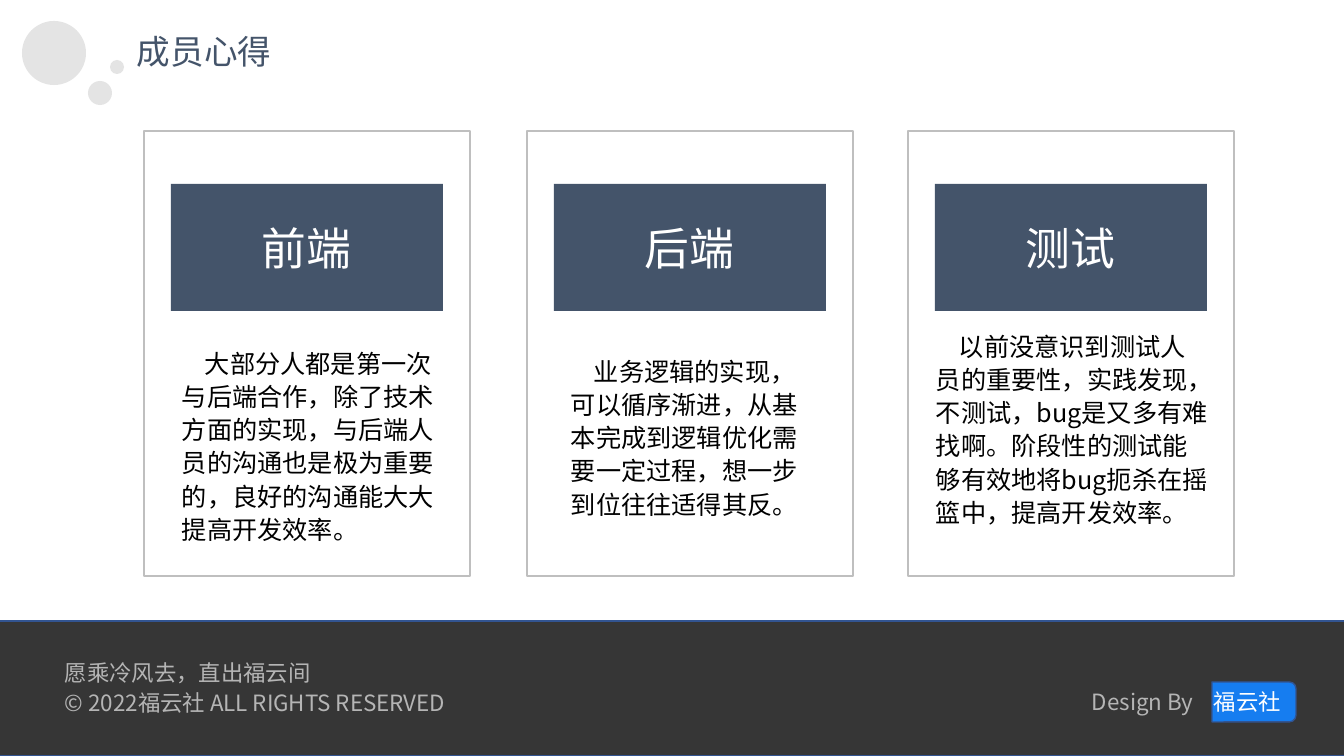
from lxml import etree
from pptx import Presentation
from pptx import util as u
from pptx.dml.color import RGBColor
from pptx.enum import shapes, text
from pptx.oxml.ns import qn

PX = 914400 / 100.8
FONT = "Noto Sans CJK SC"
NAVY = RGBColor(0x44, 0x54, 0x6A)
WHITE = RGBColor(0xFF, 0xFF, 0xFF)
BLACK = RGBColor(0, 0, 0)
BUBBLE = RGBColor(0xD9, 0xD9, 0xD9)
BORDER = RGBColor(0xBF, 0xBF, 0xBF)
DARK = RGBColor(0x36, 0x36, 0x36)
EDGE = RGBColor(0x32, 0x54, 0x91)
GREY = RGBColor(0xB5, 0xB5, 0xB5)
BADGE = RGBColor(0x16, 0x7D, 0xF0)
KIND = shapes.MSO_SHAPE

prs = Presentation()
prs.slide_width, prs.slide_height = round(1344 * PX), round(756 * PX)
s = prs.slides.add_slide(prs.slide_layouts[6])


def add_shape(kind, box, fill=None, line=None):
    sp = s.shapes.add_shape(kind, *(round(v * PX) for v in box))
    sp.shadow.inherit = False
    if fill is None:
        sp.fill.background()
    else:
        sp.fill.solid()
        sp.fill.fore_color.rgb = fill
    if line is None:
        sp.line.fill.background()
    else:
        sp.line.color.rgb = line
        sp.line.width = u.Pt(1)
    return sp


def add_text(box, lines, size, spacing=1.0):
    """Each line is a list of (text, colour) runs."""
    tf = s.shapes.add_textbox(*(round(v * PX) for v in box)).text_frame
    tf.word_wrap = True
    tf.auto_size = text.MSO_AUTO_SIZE.SHAPE_TO_FIT_TEXT
    for i, runs in enumerate(lines):
        p = tf.paragraphs[0] if i == 0 else tf.add_paragraph()
        p.line_spacing = spacing
        for words, color in runs:
            r = p.add_run()
            r.text = words
            r.font.size = u.Pt(size)
            r.font.name = FONT
            r.font.color.rgb = color
            ea = etree.SubElement(r.font._element, qn("a:ea"))
            ea.set("typeface", FONT)
    return tf


# Bubbles and slide title
for x, y, d in [(22, 21, 64), (88, 81, 24), (110, 60, 14)]:
    sp = add_shape(KIND.FLOWCHART_CONNECTOR, (x, y, d, d), BUBBLE)
    color = sp._element.spPr.find(qn("a:solidFill"))[0]
    etree.SubElement(color, qn("a:alpha")).set("val", "70000")
add_text((127, 26, 164, 50), [[("成员心得", NAVY)]], 24)

# Three cards: left edge, heading, body box, body text
cards = [
    (144, "前端", (172, 340, 284, 212),
     "大部分人都是第一次与后端合作，除了技术方面的实现，与后端人员的沟通也是"
     "极为重要的，良好的沟通能大大提高开发效率。"),
    (527, "后端", (561, 348, 266, 178),
     "业务逻辑的实现，可以循序渐进，从基本完成到逻辑优化需要一定过程，"
     "想一步到位往往适得其反。"),
    (908, "测试", (926, 323, 294, 245),
     "以前没意识到测试人员的重要性，实践发现，不测试，bug是又多有难找啊。"
     "阶段性的测试能够有效地将bug扼杀在摇篮中，提高开发效率。"),
]
for left, heading, body_box, body in cards:
    add_shape(KIND.RECTANGLE, (left + 27, 184, 272, 127), NAVY)
    add_shape(KIND.RECTANGLE, (left, 131, 326, 445), line=BORDER)
    add_text((left + 108, 216, 116, 64), [[(heading, WHITE)]], 32)
    tf = add_text(body_box, [[(body, BLACK)]], 18, 1.1)
    pPr = tf.paragraphs[0]._p.get_or_add_pPr()
    pPr.set("indent", str(round(23 * PX)))

# Footer
add_shape(KIND.RECTANGLE, (-2, 621, 1348, 135), DARK, EDGE)
add_text((55, 652, 522, 70), [
    [("愿乘冷风去，直出福云间", GREY)],
    [("© 2022福云社 ALL RIGHTS RESERVED", GREY)],
], 16, 1.1)

# Designer credit: a tab stop puts the name on the badge
badge = add_shape(KIND.ROUND_2_SAME_RECTANGLE, (1234, 660, 40, 84), BADGE, EDGE)
badge.rotation = 90
tf = add_text((1082, 681, 231, 40), [[("Design By\t", GREY), ("福云社", WHITE)]], 16, 1.1)
tabs = etree.SubElement(tf.paragraphs[0]._p.get_or_add_pPr(), qn("a:tabLst"))
etree.SubElement(tabs, qn("a:tab"), pos=str(round(122 * PX)), algn="l")

prs.save("out.pptx")
